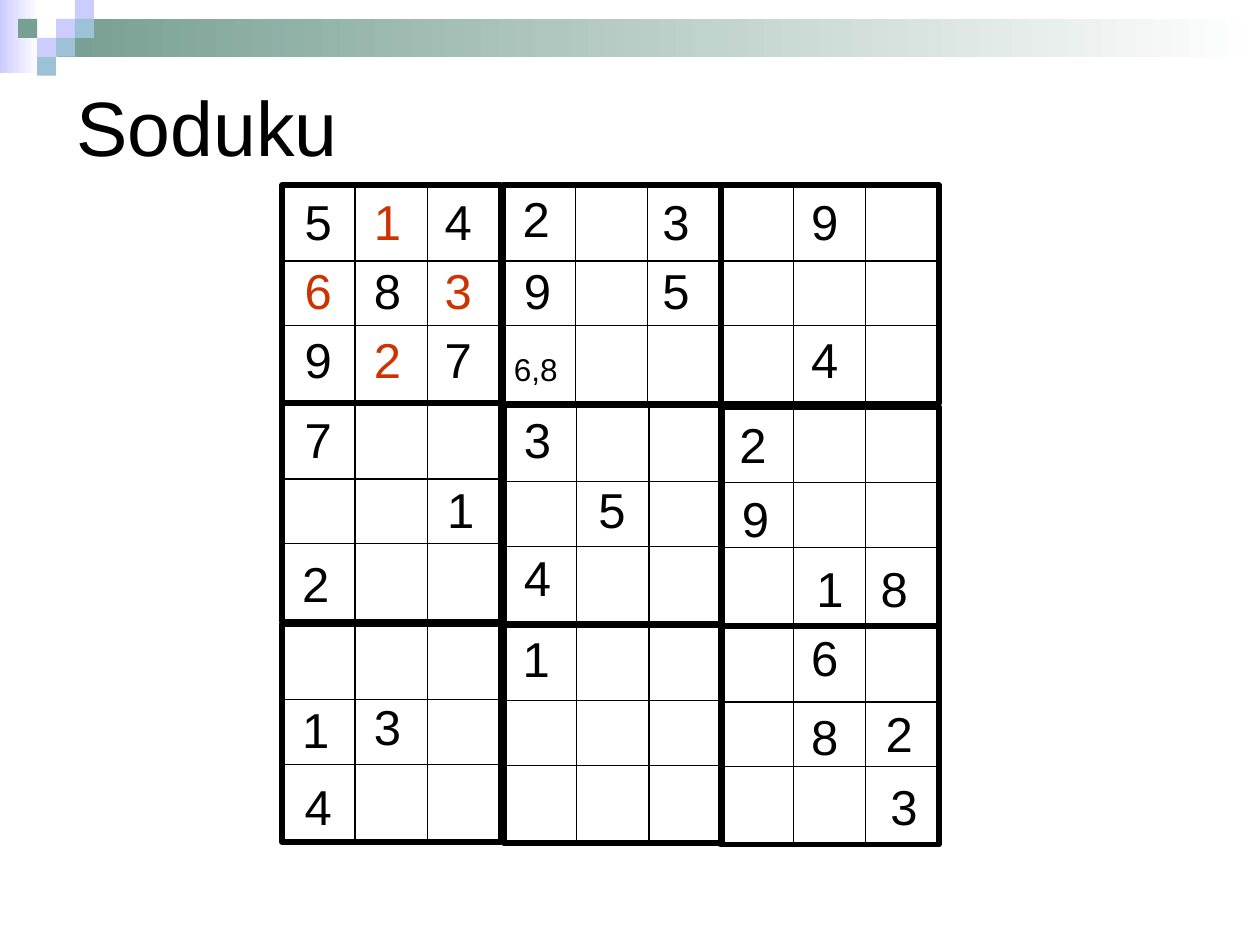
from dataclasses import dataclass

from lxml import etree
from pptx import Presentation
from pptx.dml import color as col
from pptx.enum import shapes as sh, text as tx
from pptx.oxml import ns
from pptx.util import Pt


@dataclass(frozen=True)
class Theme:
    font: str = "Arial"
    ink: str = "000000"
    red: str = "CC3300"
    lilac: str = "CCCCFF"
    green: str = "779F92"
    blue: str = "9DC2D7"
    white: str = "FFFFFF"
    title: float = 44
    digit: float = 28
    note: float = 18
    thick: float = 3.25
    thin: float = 0.75


THEME = Theme()

# Decor: squares on a grid of one tile, as (column, row, colour)
TILE = 10.8
TILES = [
    (2, 1, THEME.lilac), (3, 0, THEME.lilac), (3, 1, THEME.blue),
    (1, 2, THEME.lilac), (0, 1, THEME.green), (2, 2, THEME.blue),
    (1, 3, THEME.blue),
]

# Each block of nine cells, by block row, as (left, top)
SIDE = 124.8
BLOCKS = [
    [(161.3, 105.8), (287.3, 105.8), (411.8, 105.8)],
    [(161.3, 230.4), (288, 231.8), (411.8, 232.6)],
    [(161.3, 356.4), (288, 357.1), (411.8, 357.8)],
]

# Digits: "." is an empty cell
PUZZLE = [
    "5142.3.9.",
    "6839.5...",
    "927....4.",
    "7..3..2..",
    "..1.5.9..",
    "2..4...18",
    "...1...6.",
    "13.....82",
    "4.......3",
]
SOLVED = {(0, 1), (1, 0), (1, 2), (2, 1)}
COLS = [167, 206.6, 247, 292.3, 334.8, 371.5, 416, 456.5, 499]
ROWS = [105.8, 145.4, 185, 230.4, 270.7, 312.5, 355, 394.6, 439.9]
# Small shifts of single digits, (row, column): (across, down)
SHIFT = {
    (0, 3): (-0.7, -1.4), (3, 6): (-0.6, 2.9), (4, 2): (1.4, 0),
    (4, 6): (0.9, 5.1), (5, 0): (-1.4, 0), (5, 3): (0, -2.9),
    (5, 7): (2.9, 2.9), (5, 8): (-2.9, 2.9), (6, 3): (-0.7, 0.7),
    (7, 0): (-1.4, 1.4), (7, 7): (0, 5.7), (7, 8): (0, 3.6),
    (8, 8): (2.8, 0),
}


def rgb(code):
    return col.RGBColor.from_string(code)


def add_rect(slide, x, y, w, h):
    box = slide.shapes.add_shape(
        sh.MSO_SHAPE.RECTANGLE, Pt(x), Pt(y), Pt(w), Pt(h))
    box.shadow.inherit = False
    return box


def add_tile(slide, x, y, w, h, tint):
    tile = add_rect(slide, x, y, w, h)
    tile.fill.solid()
    tile.fill.fore_color.rgb = rgb(tint)
    tile.line.fill.background()


def add_fade(slide, x, y, w, h, tint):
    """Add a band that fades to white from left to right."""
    band = add_rect(slide, x, y, w, h)
    band.line.fill.background()
    band.fill.gradient()
    band.fill.gradient_angle = 0
    for stop, code in zip(band.fill.gradient_stops, (tint, THEME.white)):
        stop.color.rgb = rgb(code)


def add_line(slide, x1, y1, x2, y2):
    line = slide.shapes.add_connector(
        sh.MSO_CONNECTOR.STRAIGHT, Pt(x1), Pt(y1), Pt(x2), Pt(y2))
    line.line.color.rgb = rgb(THEME.ink)
    line.line.width = Pt(THEME.thin)
    etree.SubElement(line._element.spPr, ns.qn("a:effectLst"))


def add_block(slide, x, y):
    """Add a thick square cut into nine cells by thin lines."""
    box = add_rect(slide, x, y, SIDE, SIDE)
    box.fill.background()
    box.line.color.rgb = rgb(THEME.ink)
    box.line.width = Pt(THEME.thick)
    etree.SubElement(box.line._get_or_add_ln(), ns.qn("a:round"))
    for down, slip in ((43.3, -0.7), (80.3, 0.3)):
        add_line(slide, x + slip, y + down, x + slip + SIDE, y + down)
    for over in (41.5, 82.8):
        add_line(slide, x + over, y + 0.8, x + over, y + 0.8 + SIDE)


def add_text(slide, x, y, w, h, words, size, tint=THEME.ink,
             anchor=tx.MSO_ANCHOR.TOP):
    frame = slide.shapes.add_textbox(Pt(x), Pt(y), Pt(w), Pt(h)).text_frame
    frame.word_wrap = True
    frame.vertical_anchor = anchor
    run = frame.paragraphs[0].add_run()
    run.text = words
    run.font.name = THEME.font
    run.font.size = Pt(size)
    run.font.color.rgb = rgb(tint)


def add_decor(slide):
    add_fade(slide, 0, 0, 22.3, 41.8, THEME.lilac)
    add_fade(slide, 32.4, TILE, 687.6, 2 * TILE, THEME.green)
    for c, r, tint in TILES:
        add_tile(slide, 10.4 + c * TILE, r * TILE, TILE, TILE, tint)


def add_digits(slide):
    for r, row in enumerate(PUZZLE):
        for c, digit in enumerate(row):
            if digit == ".":
                continue
            dx, dy = SHIFT.get((r, c), (0, 0))
            tint = THEME.red if (r, c) in SOLVED else THEME.ink
            add_text(slide, COLS[c] + dx, ROWS[r] + dy, 33.8, 41,
                     digit, THEME.digit, tint)


def main():
    deck = Presentation()
    deck.slide_width, deck.slide_height = Pt(720), Pt(540)
    slide = deck.slides.add_slide(deck.slide_layouts[6])
    add_decor(slide)
    add_text(slide, 36.7, 31.7, 648, 80.6, "Soduku", THEME.title,
             anchor=tx.MSO_ANCHOR.MIDDLE)
    for band in BLOCKS:
        for x, y in band:
            add_block(slide, x, y)
    add_digits(slide)
    add_text(slide, 286.6, 196.6, 40, 28.8, "6,8", THEME.note)
    deck.save("out.pptx")


if __name__ == "__main__":
    main()
